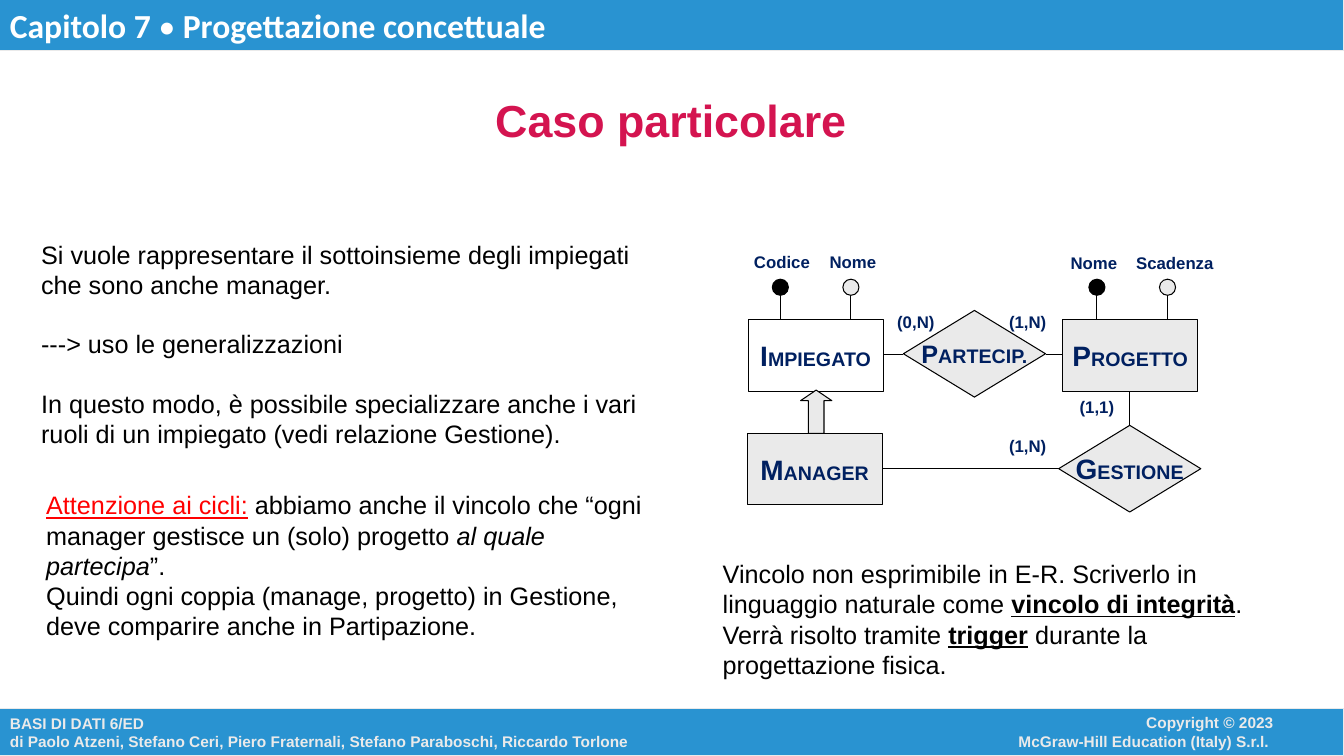
"""Build the slide on a special case of conceptual database design."""
from dataclasses import dataclass
from typing import NamedTuple, Optional

from lxml import etree
from pptx import Presentation
from pptx.dml.color import RGBColor
from pptx.enum.shapes import MSO_CONNECTOR, MSO_SHAPE
from pptx.enum.text import MSO_ANCHOR, PP_ALIGN
from pptx.oxml.ns import qn
from pptx.util import Pt

PX = 9144
PAGE_WIDTH, PAGE_HEIGHT = 1333, 750
TITLE_ONLY = 5

RECTANGLE, DIAMOND = MSO_SHAPE.RECTANGLE, MSO_SHAPE.DIAMOND
OVAL, UP_ARROW = MSO_SHAPE.OVAL, MSO_SHAPE.UP_ARROW
STRAIGHT = MSO_CONNECTOR.STRAIGHT
TOP, MIDDLE = MSO_ANCHOR.TOP, MSO_ANCHOR.MIDDLE
LEFT, CENTER, RIGHT = PP_ALIGN.LEFT, PP_ALIGN.CENTER, PP_ALIGN.RIGHT

BLACK = RGBColor(0x00, 0x00, 0x00)
WHITE = RGBColor(0xFF, 0xFF, 0xFF)
GREY = RGBColor(0xEA, 0xEA, 0xEA)
BLUE = RGBColor(0x29, 0x93, 0xD1)
NAVY = RGBColor(0x00, 0x20, 0x60)
CRIMSON = RGBColor(0xD4, 0x14, 0x50)
RED = RGBColor(0xFF, 0x00, 0x00)

NODE_WIDTH, NODE_HEIGHT = 134, 71
DIAMOND_WIDTH, DIAMOND_HEIGHT = 141, 86
LABEL_HEIGHT = 30
PIN_SIZE, PIN_CENTER, PIN_FOOT = 16, 285, 317


class Box(NamedTuple):
    left: int
    top: int
    width: int
    height: int


class Span(NamedTuple):
    text: str
    size: int = 18
    color: RGBColor = BLACK
    bold: bool = False
    italic: bool = False
    underline: bool = False
    font: str = "Arial"


Lines = list[list[Span]]


@dataclass
class Node:
    shape: MSO_SHAPE
    box: Box
    initial: str
    rest: str
    fill: Optional[RGBColor] = GREY
    initial_size: int = 20


@dataclass
class Attribute:
    name: str
    center: int
    label: Box
    fill: RGBColor


@dataclass
class Cardinality:
    text: str
    box: Box


class Link(NamedTuple):
    x1: int
    y1: int
    x2: int
    y2: int


NODES = [
    Node(RECTANGLE, Box(742, 317, NODE_WIDTH, NODE_HEIGHT), "I", "MPIEGATO", None),
    Node(RECTANGLE, Box(1054, 317, NODE_WIDTH, NODE_HEIGHT), "P", "ROGETTO"),
    Node(RECTANGLE, Box(741, 430, NODE_WIDTH, NODE_HEIGHT), "M", "ANAGER"),
    Node(DIAMOND, Box(896, 308, DIAMOND_WIDTH, DIAMOND_HEIGHT), "P", "ARTECIP.",
         initial_size=18),
    Node(DIAMOND, Box(1050, 422, DIAMOND_WIDTH, DIAMOND_HEIGHT), "G", "ESTIONE"),
]
ATTRIBUTES = [
    Attribute("Codice", 774, Box(738, 245, 80, LABEL_HEIGHT), BLACK),
    Attribute("Nome", 844, Box(813, 245, 68, LABEL_HEIGHT), GREY),
    Attribute("Nome", 1088, Box(1052, 246, 68, LABEL_HEIGHT), BLACK),
    Attribute("Scadenza", 1158, Box(1117, 246, 100, LABEL_HEIGHT), GREY),
]
CARDINALITIES = [
    Cardinality("(0,N)", Box(880, 304, 58, LABEL_HEIGHT)),
    Cardinality("(1,N)", Box(991, 304, 58, LABEL_HEIGHT)),
    Cardinality("(1,1)", Box(1061, 389, 56, LABEL_HEIGHT)),
    Cardinality("(1,N)", Box(991, 427, 58, LABEL_HEIGHT)),
]
LINKS = [
    Link(876, 352, 896, 352),
    Link(1037, 352, 1054, 352),
    Link(1120, 387, 1120, 422),
    Link(875, 465, 1050, 465),
]
EXPLANATION = [
    [Span("Si vuole rappresentare il sottoinsieme degli impiegati che sono anche manager.")],
    [Span("---> uso le generalizzazioni")],
    [Span("In questo modo, è possibile specializzare anche i vari ruoli di un impiegato "
          "(vedi relazione Gestione).")],
]
WARNING = [
    [Span("Attenzione ai cicli:", color=RED, underline=True),
     Span(" abbiamo anche il vincolo che “ogni manager gestisce un (solo) progetto "),
     Span("al quale partecipa", italic=True),
     Span("”.")],
    [Span("Quindi ogni coppia (manage, progetto) in Gestione, deve comparire anche "
          "in Partipazione.")],
]
CONSTRAINT = [
    [Span("Vincolo non esprimibile in E-R. Scriverlo in linguaggio naturale come "),
     Span("vincolo di integrità", bold=True, underline=True),
     Span(".")],
    [Span("Verrà risolto tramite "),
     Span("trigger", bold=True, underline=True),
     Span(" durante la progettazione fisica.")],
]
HEADER = [[Span("Capitolo 7 ", 24, WHITE, True, font="Calibri"),
           Span("•", 24, WHITE, font="Calibri"),
           Span(" Progettazione concettuale", 24, WHITE, True, font="Calibri")]]
CREDITS = [[Span(text, 11, GREY, True)] for text in (
    "BASI DI DATI 6/ED",
    "di Paolo Atzeni, Stefano Ceri, Piero Fraternali, Stefano Paraboschi, Riccardo Torlone")]
COPYRIGHT = [[Span(text, 11, GREY, True)] for text in (
    "Copyright © 2023", "McGraw-Hill Education (Italy) S.r.l. ")]


def scaled(box) -> list[int]:
    return [length * PX for length in box]


def write(frame, lines: Lines, align=LEFT, anchor=TOP, wrap: bool = True, gap: int = 0) -> None:
    frame.word_wrap = wrap
    frame.vertical_anchor = anchor
    for index, spans in enumerate(lines):
        para = frame.add_paragraph() if index else frame.paragraphs[0]
        para.alignment = align
        if index and gap:
            para.space_before = Pt(gap)
        for span in spans:
            run = para.add_run()
            run.text = span.text
            run.font.name = span.font
            run.font.size = Pt(span.size)
            run.font.color.rgb = span.color
            run.font.bold = span.bold
            run.font.italic = span.italic
            run.font.underline = span.underline


def add_text(page, box: Box, lines: Lines, align=LEFT, wrap: bool = True, gap: int = 0) -> None:
    write(page.shapes.add_textbox(*scaled(box)).text_frame, lines, align, wrap=wrap, gap=gap)


def add_figure(page, kind, box: Box, fill: Optional[RGBColor], line=BLACK, width: float = 0.75):
    figure = page.shapes.add_shape(kind, *scaled(box))
    figure.shadow.inherit = False
    if fill is None:
        figure.fill.background()
    else:
        figure.fill.solid()
        figure.fill.fore_color.rgb = fill
    figure.line.color.rgb = line
    figure.line.width = Pt(width)
    return figure


def add_link(page, link: Link) -> None:
    connector = page.shapes.add_connector(STRAIGHT, *scaled(link))
    connector.line.color.rgb = BLACK
    connector.line.width = Pt(0.75)
    etree.SubElement(connector._element.spPr, qn("a:effectLst"))


def add_node(page, node: Node) -> None:
    figure = add_figure(page, node.shape, node.box, node.fill)
    spans = [Span(node.initial, node.initial_size, NAVY, True), Span(node.rest, 14, NAVY, True)]
    write(figure.text_frame, [spans], CENTER, MIDDLE, wrap=False)


def add_label(page, text: str, box: Box) -> None:
    add_text(page, box, [[Span(text, 12, NAVY, True)]], wrap=False)


def add_attribute(page, attribute: Attribute) -> None:
    add_link(page, Link(attribute.center, PIN_CENTER, attribute.center, PIN_FOOT))
    radius = PIN_SIZE // 2
    pin = Box(attribute.center - radius, PIN_CENTER - radius, PIN_SIZE, PIN_SIZE)
    add_figure(page, OVAL, pin, attribute.fill)
    add_label(page, attribute.name, attribute.label)


def main() -> None:
    deck = Presentation()
    deck.slide_width, deck.slide_height = scaled((PAGE_WIDTH, PAGE_HEIGHT))
    page = deck.slides.add_slide(deck.slide_layouts[TITLE_ONLY])

    footer = add_figure(page, RECTANGLE, Box(0, 703, PAGE_WIDTH, 47), BLUE, GREY)
    write(footer.text_frame, CREDITS, anchor=MIDDLE)
    add_text(page, Box(889, 703, 384, 46), COPYRIGHT, RIGHT)
    header = add_figure(page, RECTANGLE, Box(0, 0, PAGE_WIDTH, 50), BLUE, GREY, 0)
    write(header.text_frame, HEADER)

    title = page.shapes.title
    title.left, title.top, title.width, title.height = scaled(Box(155, 99, 1021, 39))
    write(title.text_frame, [[Span("Caso particolare", 32, CRIMSON, True)]], CENTER, MIDDLE)

    for link in LINKS:
        add_link(page, link)
    for node in NODES:
        add_node(page, node)
    arrow = add_figure(page, UP_ARROW, Box(794, 387, 31, 43), GREY)
    arrow.adjustments[1] = 0.34
    for attribute in ATTRIBUTES:
        add_attribute(page, attribute)
    for cardinality in CARDINALITIES:
        add_label(page, cardinality.text, cardinality.box)

    add_text(page, Box(31, 232, 613, 215), EXPLANATION, gap=21)
    add_text(page, Box(36, 481, 631, 178), WARNING)
    add_text(page, Box(707, 549, 557, 123), CONSTRAINT)
    deck.save("out.pptx")


if __name__ == "__main__":
    main()
